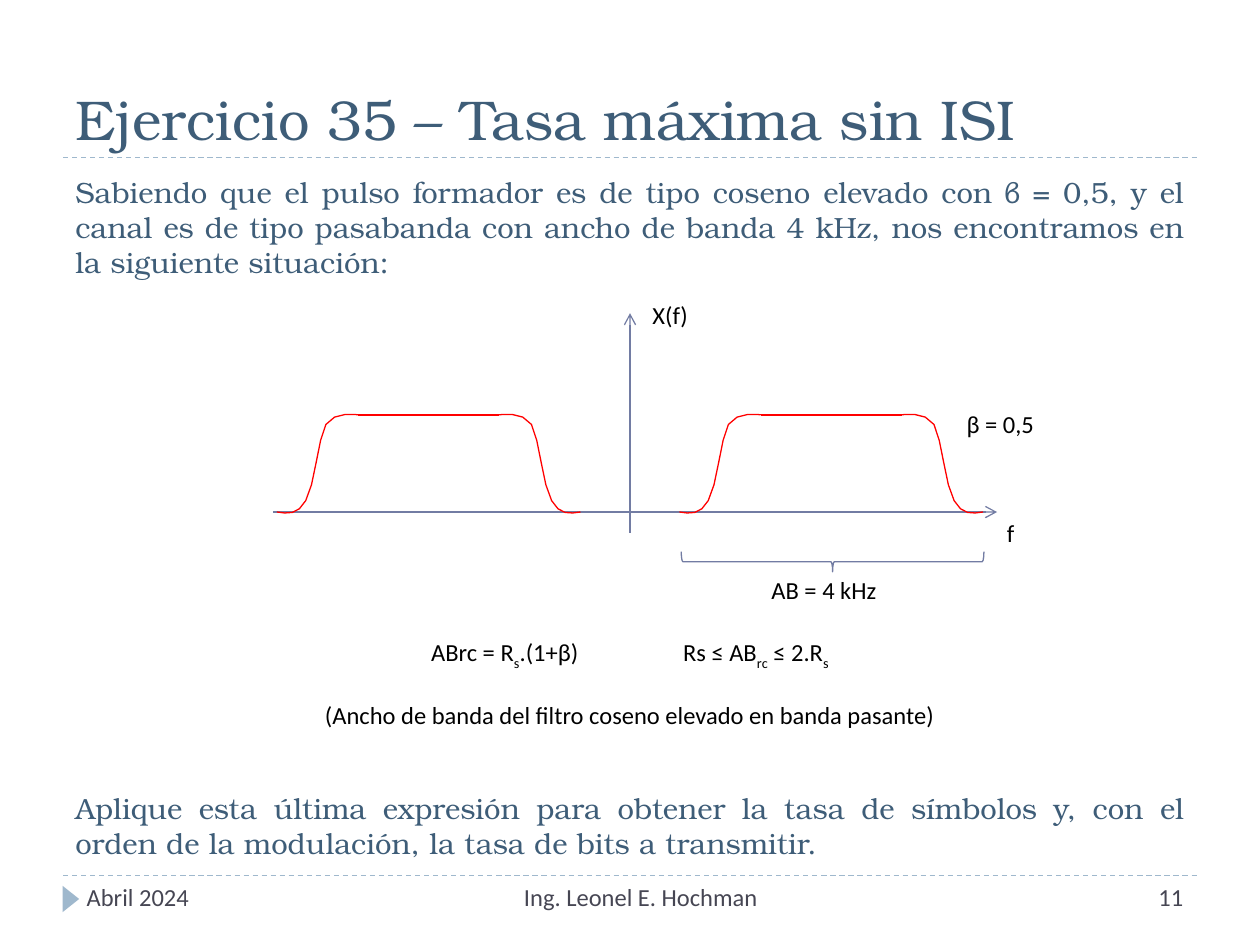
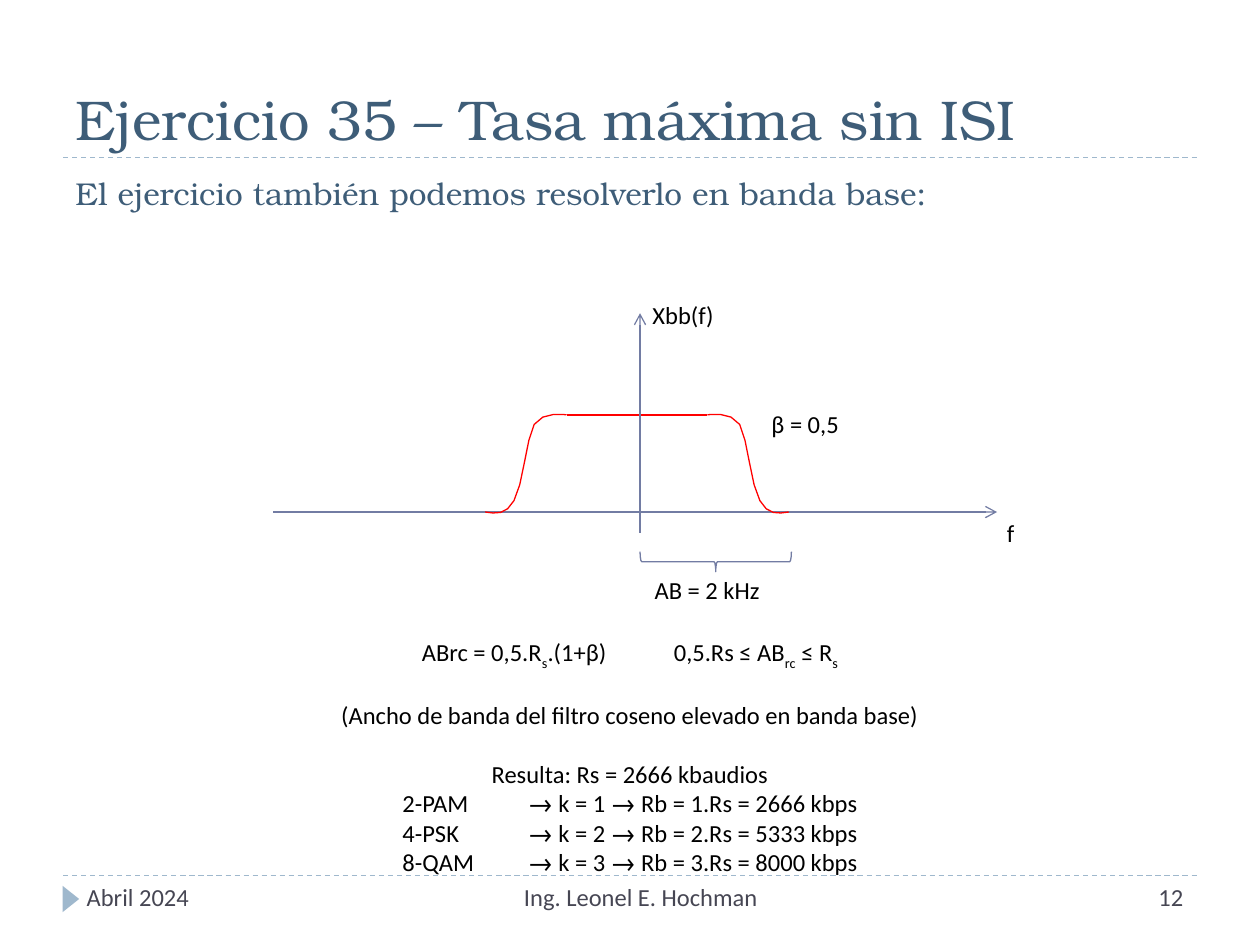
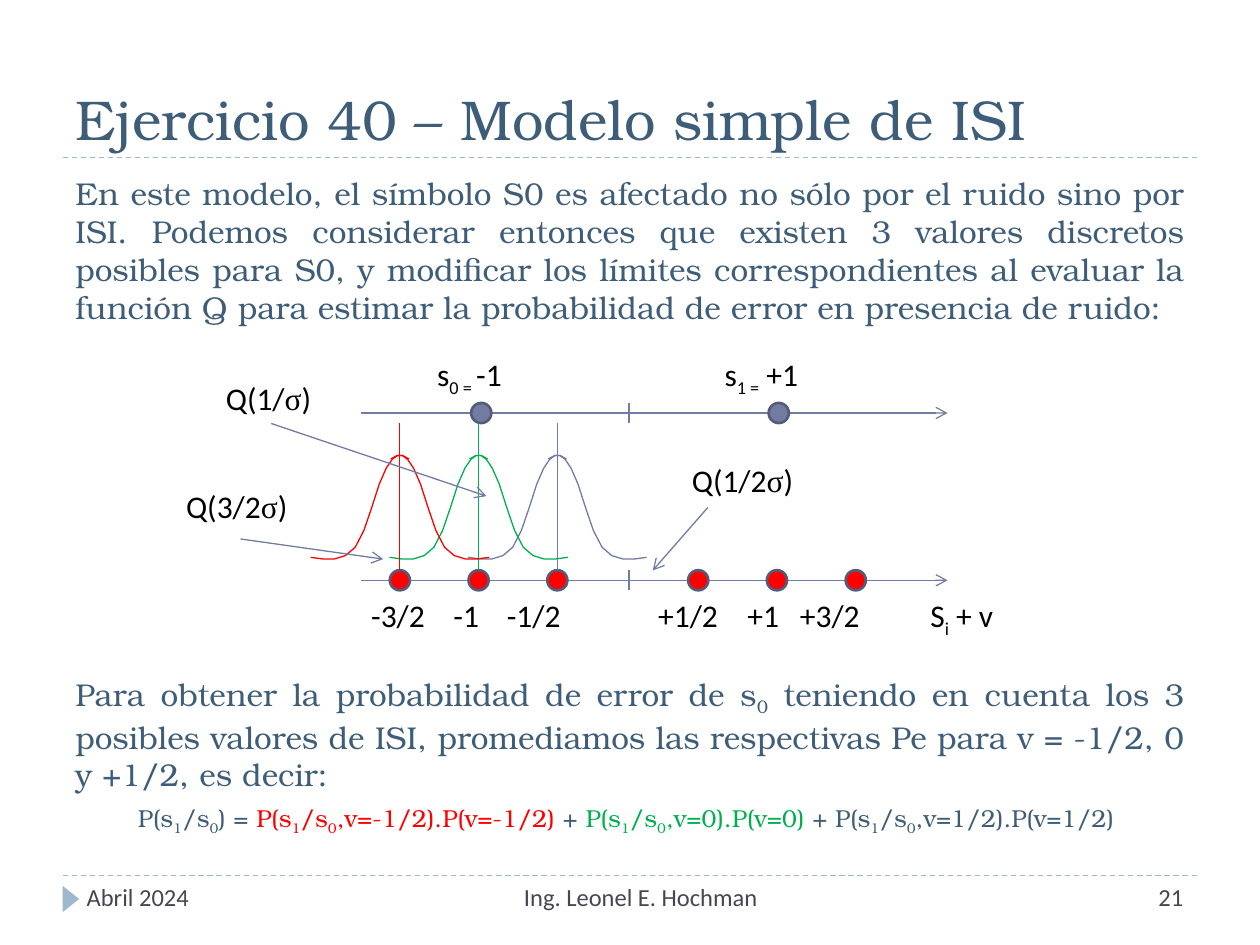
import itertools
from dataclasses import dataclass

import lxml.etree
import pptx
import pptx.dml.color
import pptx.enum.dml
import pptx.enum.shapes
import pptx.enum.text
import pptx.oxml.ns
import pptx.util

Pt = pptx.util.Pt
qn = pptx.oxml.ns.qn
ALIGN = pptx.enum.text.PP_ALIGN
ANCHOR = pptx.enum.text.MSO_ANCHOR
FIT = pptx.enum.text.MSO_AUTO_SIZE
SHAPE = pptx.enum.shapes.MSO_SHAPE


class Theme:
    heading = "3E5D78"
    footer = "464653"
    band = "9FB8CD"
    axis = "727CA3"
    dot_edge = "545C79"
    black = "000000"
    red = "FF0000"
    green = "00B050"
    serif = "TeX Gyre Bonum"
    sans = "Calibri"
    symbol_fonts = {"→": "TeX Gyre Bonum", "σ": "Times New Roman"}
    title_size = 32
    large = 18
    body_compact = 16.7
    small = 14
    thin = 0.75
    dot_line = 1.5


@dataclass
class Box:
    left: float
    top: float
    width: float
    height: float

    def lengths(self):
        return [Pt(value) for value in (self.left, self.top, self.width, self.height)]

    def inner(self, left, top, width, height):
        """A box whose corner is measured from this one's."""
        return Box(self.left + left, self.top + top, width, height)

    def point(self, across, down):
        return self.left + across, self.top + down


@dataclass
class Style:
    font: str
    size: float
    colour: str


@dataclass
class Line:
    """A paragraph: a string, or a list of (text, colour) pairs; _x_ is a subscript."""
    text: object
    style: Style
    align: object = ALIGN.LEFT
    space: float = 0
    tabs: tuple = ()


FOOTER = Style(Theme.sans, Theme.small, Theme.footer)
NOTE = Style(Theme.sans, Theme.small, Theme.black)
LABEL = Style(Theme.sans, Theme.large, Theme.black)
BODY = Style(Theme.serif, Theme.large, Theme.heading)
COMPACT = Style(Theme.serif, Theme.body_compact, Theme.heading)
EQUATION = Style(Theme.serif, Theme.small, Theme.heading)
TITLE = Style(Theme.serif, Theme.title_size, Theme.heading)

BODY_BOX = Box(36, 96, 648, 388.5)
SPECTRUM_BOX = Box(156.25, 179, 413.5, 125.5)
DERIVATION_TOP = 360.7
FORMULA_TAB, RATE_TAB = 144, 72

# Bezier control points from the foot of a curve to its top.
PULSE_EDGE = [(0, 0), (6, 1), (12, 1.8), (16.5, -6.5), (21.5, -14.5),
              (23.5, -42), (28, -50), (33, -58), (46.5, -55.5), (46.5, -55.5)]
BELL_HALF = [(0, 0), (9.4, 1.4), (18.7, 2.9), (25.5, -5.8), (32.4, -14.4),
             (38, -43.2), (43.2, -51), (48.2, -59.8), (51, -59.8), (56.2, -56.2)]


def rgb(colour):
    return pptx.dml.color.RGBColor.from_string(colour)


def write(para, line):
    para.alignment = line.align
    if line.space:
        para.space_before = Pt(line.space)
    if line.tabs:
        stops = lxml.etree.SubElement(para._p.get_or_add_pPr(), qn("a:tabLst"))
        for position in line.tabs:
            lxml.etree.SubElement(stops, qn("a:tab"), pos=str(Pt(position)), algn="l")
    spans = [(line.text, line.style.colour)] if isinstance(line.text, str) else line.text
    for text, colour in spans:
        for index, piece in enumerate(text.split("_")):
            def font_of(letter):
                return Theme.symbol_fonts.get(letter, line.style.font)
            for font, letters in itertools.groupby(piece, font_of):
                span = para.add_run()
                span.text = "".join(letters)
                span.font.name = font
                span.font.size = Pt(line.style.size)
                span.font.color.rgb = rgb(colour)
                if index % 2:
                    span._r.get_or_add_rPr().set("baseline", "-25000")


def add_text(page, box, lines, wrap=True, fit=FIT.NONE):
    shape = page.shapes.add_textbox(*box.lengths())
    frame = shape.text_frame
    frame.word_wrap = wrap
    frame.auto_size = fit
    for index, line in enumerate(lines):
        write(frame.add_paragraph() if index else frame.paragraphs[0], line)
    return shape


def add_label(page, box, text, style):
    return add_text(page, box, [Line(text, style)], wrap=False, fit=FIT.SHAPE_TO_FIT_TEXT)


def add_line(shapes, start, end, colour=Theme.axis, arrow=False, dashed=False):
    ends = [Pt(value) for value in (*start, *end)]
    line = shapes.add_connector(pptx.enum.shapes.MSO_CONNECTOR.STRAIGHT, *ends)
    line.line.color.rgb = rgb(colour)
    line.line.width = Pt(Theme.thin)
    if dashed:
        line.line.dash_style = pptx.enum.dml.MSO_LINE.DASH
    properties = line.element.spPr
    if arrow:
        lxml.etree.SubElement(properties.find(qn("a:ln")), qn("a:tailEnd"), type="arrow")
    lxml.etree.SubElement(properties, qn("a:effectLst"))
    return line


def add_preset(page, kind, box, fill=None, edge=None, width=Theme.thin, rotation=0):
    shape = page.shapes.add_shape(kind, *box.lengths())
    finish(shape, fill, edge, width)
    shape.rotation = rotation


def finish(shape, fill, edge, width=Theme.thin):
    shape.shadow.inherit = False
    if fill:
        shape.fill.solid()
        shape.fill.fore_color.rgb = rgb(fill)
    else:
        shape.fill.background()
    if edge:
        shape.line.color.rgb = rgb(edge)
        shape.line.width = Pt(width)
    else:
        shape.line.fill.background()


def add_curve(shapes, foot, controls, colour, direction=1, steps=4):
    """Draw joined cubic Beziers from foot; direction -1 mirrors them."""
    points = [controls[0]]
    for first in range(0, len(controls) - 1, 3):
        quad = controls[first:first + 4]
        for step in range(1, steps + 1):
            t = step / steps
            weights = ((1 - t) ** 3, 3 * t * (1 - t) ** 2, 3 * t * t * (1 - t), t ** 3)
            points.append(tuple(sum(weight * control[axis] for weight, control in zip(weights, quad))
                                for axis in (0, 1)))
    placed = [(Pt(foot[0] + direction * x), Pt(foot[1] + y)) for x, y in points]
    builder = shapes.build_freeform(*placed[0])
    builder.add_line_segments(placed[1:], close=False)
    finish(builder.convert_to_shape(), None, colour)


def add_page(deck, title, number):
    page = deck.slides.add_slide(deck.slide_layouts.get_by_name("Title Only"))
    heading = page.shapes.title
    heading.left, heading.top, heading.width, heading.height = Box(36, 12.6, 648, 77.75).lengths()
    heading.text_frame.vertical_anchor = ANCHOR.BOTTOM
    heading.text_frame.auto_size = FIT.NONE
    write(heading.text_frame.paragraphs[0], Line(title, TITLE))
    for height in (90, 500.4):
        add_line(page.shapes, (36, height), (684, height), Theme.band, dashed=True)
    add_preset(page, SHAPE.ISOSCELES_TRIANGLE, Box(33, 509, 15, 9.4), Theme.band, rotation=90)
    for left, width, text, align in ((42.5, 180, "Abril 2024", ALIGN.LEFT),
                                     (228.25, 276, "Ing. Leonel E. Hochman", ALIGN.CENTER),
                                     (527.25, 156, str(number), ALIGN.RIGHT)):
        add_text(page, Box(left, 500.4, width, 28.8), [Line(text, FOOTER, align)])
    return page


def add_pulse(page, foot, width=173.5):
    left, base = foot
    add_curve(page.shapes, foot, PULSE_EDGE, Theme.red)
    add_curve(page.shapes, (left + width, base), PULSE_EDGE, Theme.red, direction=-1)
    run, rise = PULSE_EDGE[-1]
    add_line(page.shapes, (left + run, base + rise), (left + width - run, base + rise), Theme.red)


def add_spectrum(page, box, name, name_width, axis, pulses, beta, band, band_text):
    """Pulses over a frequency axis; the offsets are measured from the box's left."""
    base = 113.6
    add_line(page.shapes, box.point(0, base), box.point(box.width, base), arrow=True)
    for offset in pulses:
        add_pulse(page, box.point(offset, base))
    add_line(page.shapes, box.point(axis, box.height), box.point(axis, 0), arrow=True)
    start, end = band
    middle, span, depth = (start + end) / 2, end - start, 11.5
    brace = box.inner(middle - depth / 2, 142 - span / 2, depth, span)
    add_preset(page, SHAPE.RIGHT_BRACE, brace, edge=Theme.axis, rotation=90)
    for left, top, width, text in ((beta, 51.4, 57.6, "β = 0,5"),
                                   (middle - 42, 146, 86, band_text),
                                   (412, base, 18.7, "f"),
                                   (209.5, -11.25, name_width, name)):
        add_label(page, box.inner(left, top, width, 24.5), text, NOTE)


def add_derivation(page, height, paragraphs):
    """Centred notes, each a (text, space before, tab stops) triple."""
    lines = [Line(text, NOTE, ALIGN.CENTER, space, tabs) for text, space, tabs in paragraphs]
    add_text(page, Box(54, DERIVATION_TOP, 612, height), lines, fit=FIT.SHAPE_TO_FIT_TEXT)


def add_dots(page, centres, fill, size=11.5):
    for x, y in centres:
        add_preset(page, SHAPE.OVAL, Box(x - size / 2, y - size / 2, size, size),
                   fill, Theme.dot_edge, Theme.dot_line)


def add_bell(page, box, axis, colour):
    shapes = page.shapes.add_group_shape().shapes
    for direction in (1, -1):
        add_curve(shapes, box.point(axis - 51 * direction, 82.5), BELL_HALF, colour, direction)
    add_line(shapes, box.point(axis, 6), box.point(axis, 90), colour)


def add_callout(page, box, text, tip, start=None):
    """A label with an arrow to tip, from start or else from the label's lower side."""
    label = add_label(page, box, text, LABEL)
    foot = (box.left + box.width / 2, box.top + box.height)
    arrow = add_line(page.shapes, start or foot, tip, arrow=True)
    if start is None:
        arrow.begin_connect(label, 2)


def add_noise_model(page, box):
    """Two symbol axes, at the top and bottom of the box, with the noise bells between."""
    middle, pitch, first = 153, 45, 22
    for height in (0, box.height):
        add_line(page.shapes, box.point(0, height), box.point(box.width, height), arrow=True)
        add_line(page.shapes, box.point(middle, height - 5.75), box.point(middle, height + 5.75))
    add_dots(page, [box.point(x, 0) for x in (68.5, 238.5)], Theme.axis)
    add_dots(page, [box.point(start + pitch * step, box.height)
                    for start in (first, 192.5) for step in range(3)], Theme.red)
    add_text(page, box.inner(36.25, -36.7, 260.5, 29),
             [Line("s_0 = _-1\ts_1 =_ +1", LABEL, tabs=(164.25,))])
    add_text(page, box.inner(-1.5, 101, 408, 29),
             [Line("-3/2\t-1\t-1/2\t+1/2\t+1\t+3/2\tS_i_ + v", LABEL,
                   tabs=(47, 77.5, 164, 215, 245, 319.5))])
    for step, colour in ((2, Theme.axis), (1, Theme.green), (0, Theme.red)):
        add_bell(page, box, first + pitch * step, colour)
    add_callout(page, box.inner(181.75, 23.75, 76, 29), "Q(1/2σ)",
                box.point(166.5, 90), box.point(198, 54))
    add_callout(page, box.inner(-84.5, -23, 66, 29), "Q(1/σ)", box.point(71.5, 47.5))
    add_callout(page, box.inner(-107.25, 39, 76, 29), "Q(3/2σ)",
                box.point(12.5, 83.5), box.point(-69, 72))


def passband_page(deck):
    page = add_page(deck, "Ejercicio 35 – Tasa máxima sin ISI", 11)
    add_text(page, BODY_BOX, [
        Line("Sabiendo que el pulso formador es de tipo coseno elevado con β = 0,5, y el canal es "
             "de tipo pasabanda con ancho de banda 4 kHz, nos encontramos en la siguiente "
             "situación:", COMPACT, ALIGN.JUSTIFY),
        Line("Aplique esta última expresión para obtener la tasa de símbolos y, con el orden de "
             "la modulación, la tasa de bits a transmitir.", COMPACT, ALIGN.JUSTIFY, 292)])
    add_derivation(page, 58.5, [
        ("ABrc = R_s_.(1+β)\tRs ≤ AB_rc_ ≤ 2.R_s_", 0, (FORMULA_TAB,)),
        ("(Ancho de banda del filtro coseno elevado en banda pasante)", 16.5, ())])
    add_spectrum(page, SPECTRUM_BOX, "X(f)", 37.5, axis=203.75, pulses=(2, 232), beta=389,
                 band=(233, 406), band_text="AB = 4 kHz")


def baseband_page(deck):
    page = add_page(deck, "Ejercicio 35 – Tasa máxima sin ISI", 12)
    add_text(page, BODY_BOX, [
        Line("El ejercicio también podemos resolverlo en banda base:", BODY, ALIGN.JUSTIFY)])
    rates = (("2-PAM", 2666), ("4-PSK", 5333), ("8-QAM", 8000))
    add_derivation(page, 160, [
        ("ABrc = 0,5.R_s_.(1+β)\t0,5.Rs ≤ AB_rc_ ≤ R_s_", 0, (FORMULA_TAB,)),
        ("(Ancho de banda del filtro coseno elevado en banda base)", 16.5, ()),
        ("Resulta: Rs = 2666 kbaudios", 17, ()),
        *((f"{name}\t→ k = {bits} → Rb = {bits}.Rs = {rate} kbps", 0, (RATE_TAB,))
          for bits, (name, rate) in enumerate(rates, 1))])
    add_spectrum(page, SPECTRUM_BOX, "Xbb(f)", 52.5, axis=209.5, pulses=(121,), beta=277.5,
                 band=(209.5, 296), band_text="AB = 2 kHz")


def isi_page(deck):
    page = add_page(deck, "Ejercicio 40 – Modelo simple de ISI", 21)
    equation = [("P(s_1_/s_0_) = ", Theme.heading),
                ("P(s_1_/s_0_,v=-1/2).P(v=-1/2) ", Theme.red),
                ("+ ", Theme.heading),
                ("P(s_1_/s_0_,v=0).P(v=0) ", Theme.green),
                ("+ P(s_1_/s_0_,v=1/2).P(v=1/2) ", Theme.heading)]
    add_text(page, BODY_BOX, [
        Line("En este modelo, el símbolo S0 es afectado no sólo por el ruido sino por ISI. Podemos "
             "considerar entonces que existen 3 valores discretos posibles para S0, y modificar "
             "los límites correspondientes al evaluar la función Q para estimar la probabilidad "
             "de error en presencia de ruido:", BODY, ALIGN.JUSTIFY),
        Line("Para obtener la probabilidad de error de s_0_ teniendo en cuenta los 3 posibles "
             "valores de ISI, promediamos las respectivas Pe para v = -1/2, 0 y +1/2, es decir:",
             BODY, ALIGN.JUSTIFY, 199.5),
        Line(equation, EQUATION, ALIGN.CENTER, 5.5)])
    add_noise_model(page, Box(206.5, 236, 335, 95.6))


def main():
    deck = pptx.Presentation()
    deck.slide_width, deck.slide_height = Pt(720), Pt(540)
    passband_page(deck)
    baseband_page(deck)
    isi_page(deck)
    deck.save("out.pptx")


if __name__ == "__main__":
    main()
